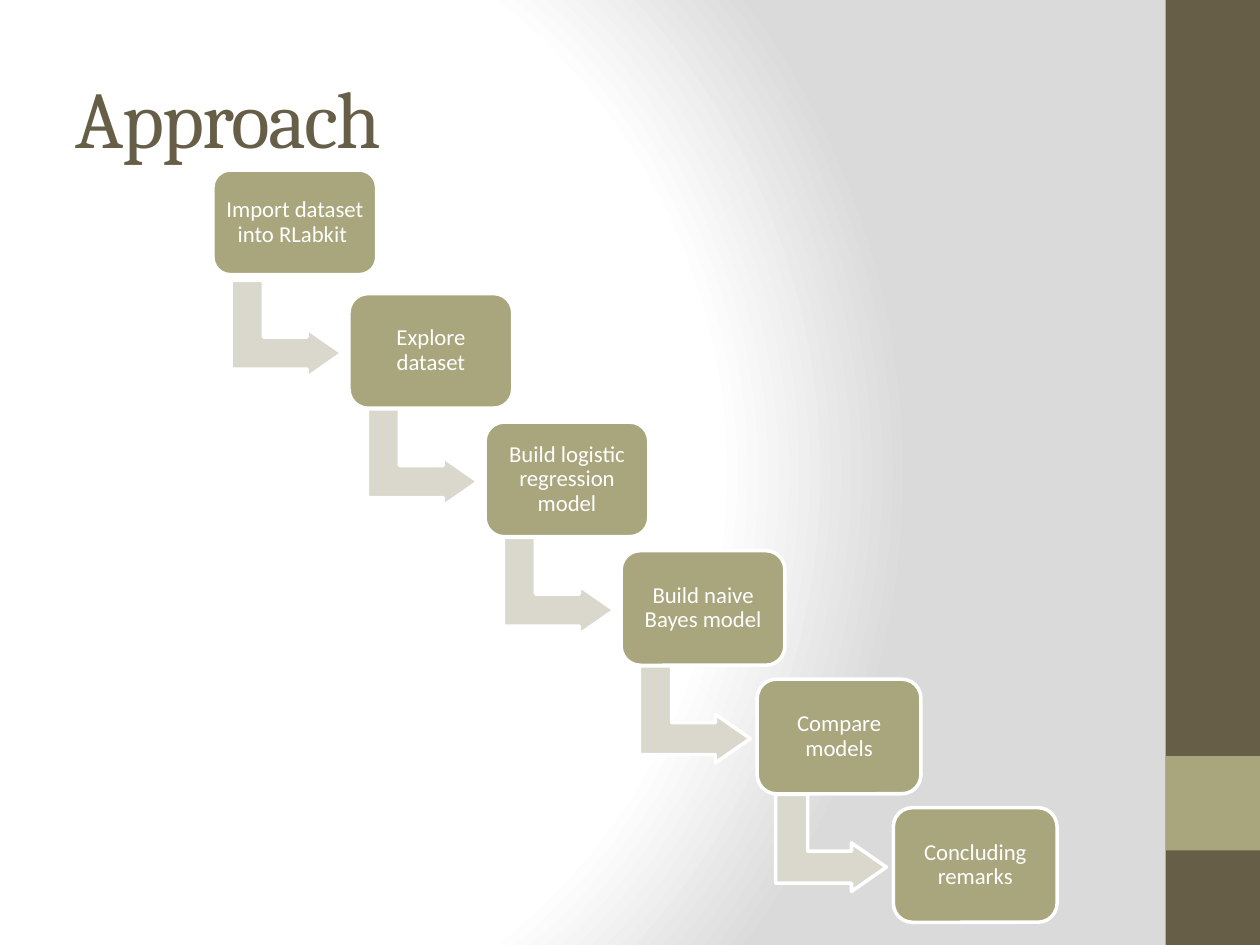
from pptx import Presentation, util as u
from pptx.dml.color import RGBColor
from pptx.enum import shapes, text
from pptx.oxml import parse_xml
from pptx.oxml.ns import nsdecls

BROWN = RGBColor(0x67, 0x5E, 0x47)
OLIVE = RGBColor(0xA9, 0xA5, 0x7C)
SAND = RGBColor(0xDA, 0xD8, 0xCC)
WHITE = RGBColor(0xFF, 0xFF, 0xFF)

COL, ROW = 1.08, 1.02
LEFT, TOP = 1.69, 1.31
WIDE, HIGH = 1.3, 0.91
STEPS = ["Import dataset into RLabkit ", "Explore dataset",
         "Build logistic regression model", "Build naive Bayes model",
         "Compare models", "Concluding remarks"]

deck = Presentation()
deck.slide_width, deck.slide_height = u.Inches(10), u.Inches(7.5)
slide = deck.slides.add_slide(deck.slide_layouts[5])

stops = "".join(
    f'<a:gs pos="{pos * 1000}"><a:srgbClr val="{tone}"/></a:gs>'
    for pos, tone in [(0, "FFFFFF"), (75, "FFFFFF"), (100, "DADADA")])
slide.element.cSld.insert(0, parse_xml(
    f'<p:bg {nsdecls("p", "a")}><p:bgPr><a:gradFill rotWithShape="1">'
    f'<a:gsLst>{stops}</a:gsLst><a:path path="circle">'
    '<a:fillToRect l="20000" t="50000" r="100000" b="50000"/></a:path>'
    '</a:gradFill><a:effectLst/></p:bgPr></p:bg>'))


def draw(kind, x, y, w, h, fill, edge=None):
    shape = slide.shapes.add_shape(kind, *map(u.Inches, (x, y, w, h)))
    shape.shadow.inherit = False
    shape.fill.solid()
    shape.fill.fore_color.rgb = fill
    if edge is None:
        shape.line.fill.background()
    else:
        shape.line.color.rgb = edge
        shape.line.width = u.Pt(2)
    return shape


def write(para, words, font, size, color):
    run = para.add_run()
    run.text = words
    run.font.name = font
    run.font.size = u.Pt(size)
    run.font.color.rgb = color
    return run


kinds = shapes.MSO_SHAPE
draw(kinds.RECTANGLE, 9.25, 0, 0.75, 7.5, BROWN)
draw(kinds.RECTANGLE, 9.25, 6, 0.75, 0.75, OLIVE)

title = slide.shapes.title
title.left, title.top = u.Inches(0.5), u.Inches(0.3)
title.width, title.height = u.Inches(8.33), u.Inches(1.25)
title.text_frame.vertical_anchor = text.MSO_ANCHOR.MIDDLE
head = title.text_frame.paragraphs[0]
head.alignment = text.PP_ALIGN.LEFT
run = write(head, "Approach", "Cambria", 46, BROWN)
run.font._element.set("spc", "-100")

for i, words in enumerate(STEPS):
    x, y = LEFT + i * COL, TOP + i * ROW
    if i < len(STEPS) - 1:
        arrow = draw(kinds.BENT_UP_ARROW, x + 0.2, y + 0.86, 0.77, 0.88, SAND, WHITE)
        arrow.rotation = 90
        for k, share in enumerate((0.33, 0.25, 0.36)):
            arrow.adjustments[k] = share
    trim = 0.04 if i == 0 else 0
    box = draw(kinds.ROUNDED_RECTANGLE, x, y + trim, WIDE, HIGH - 2 * trim, OLIVE, WHITE)
    frame = box.text_frame
    frame.word_wrap = True
    frame.vertical_anchor = text.MSO_ANCHOR.MIDDLE
    frame.margin_left = frame.margin_right = u.Inches(0.05)
    frame.margin_top = frame.margin_bottom = u.Inches(0.05)
    para = frame.paragraphs[0]
    para.alignment = text.PP_ALIGN.CENTER
    para.line_spacing = 0.9
    write(para, words, "Calibri", 13, WHITE)

deck.save("out.pptx")
